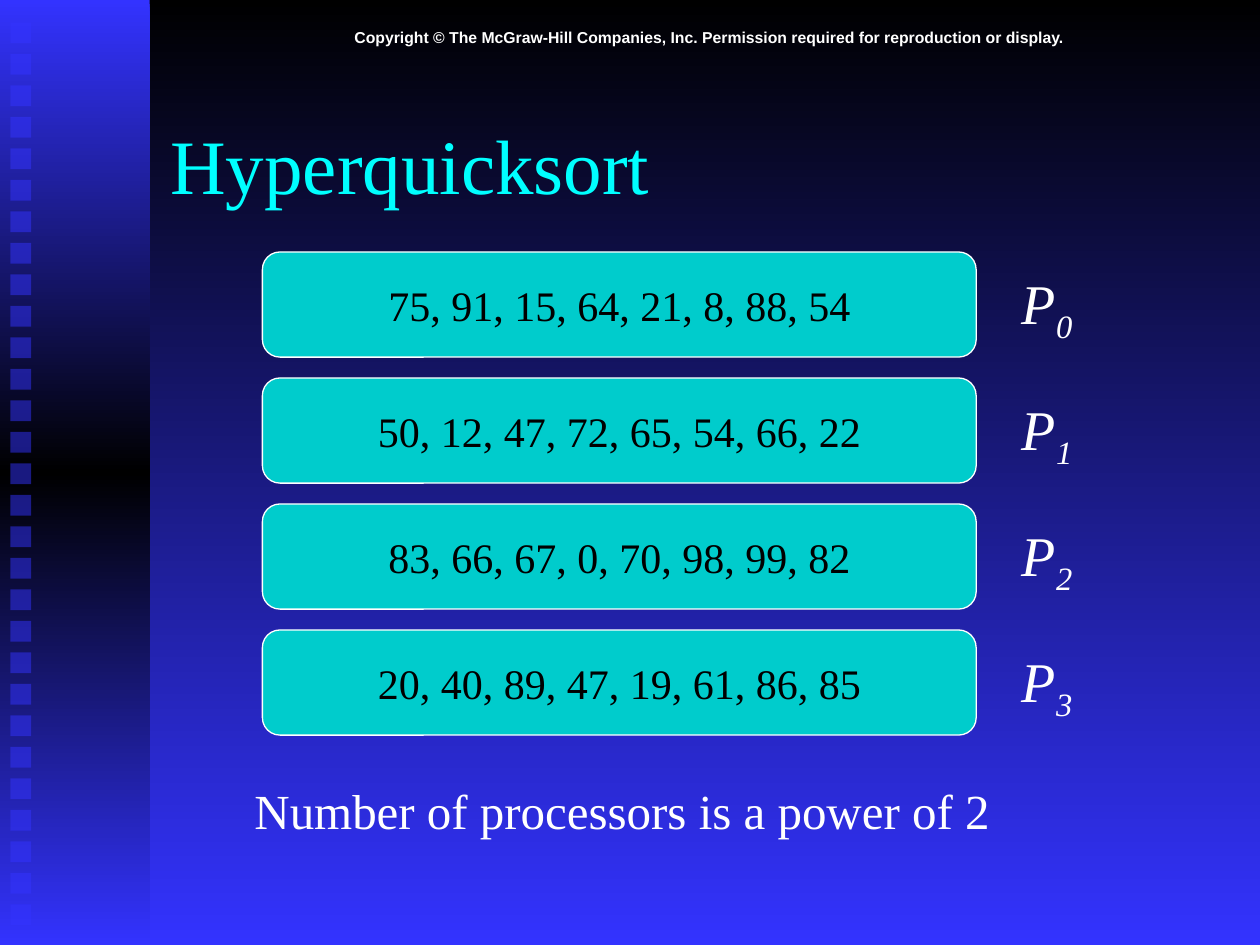
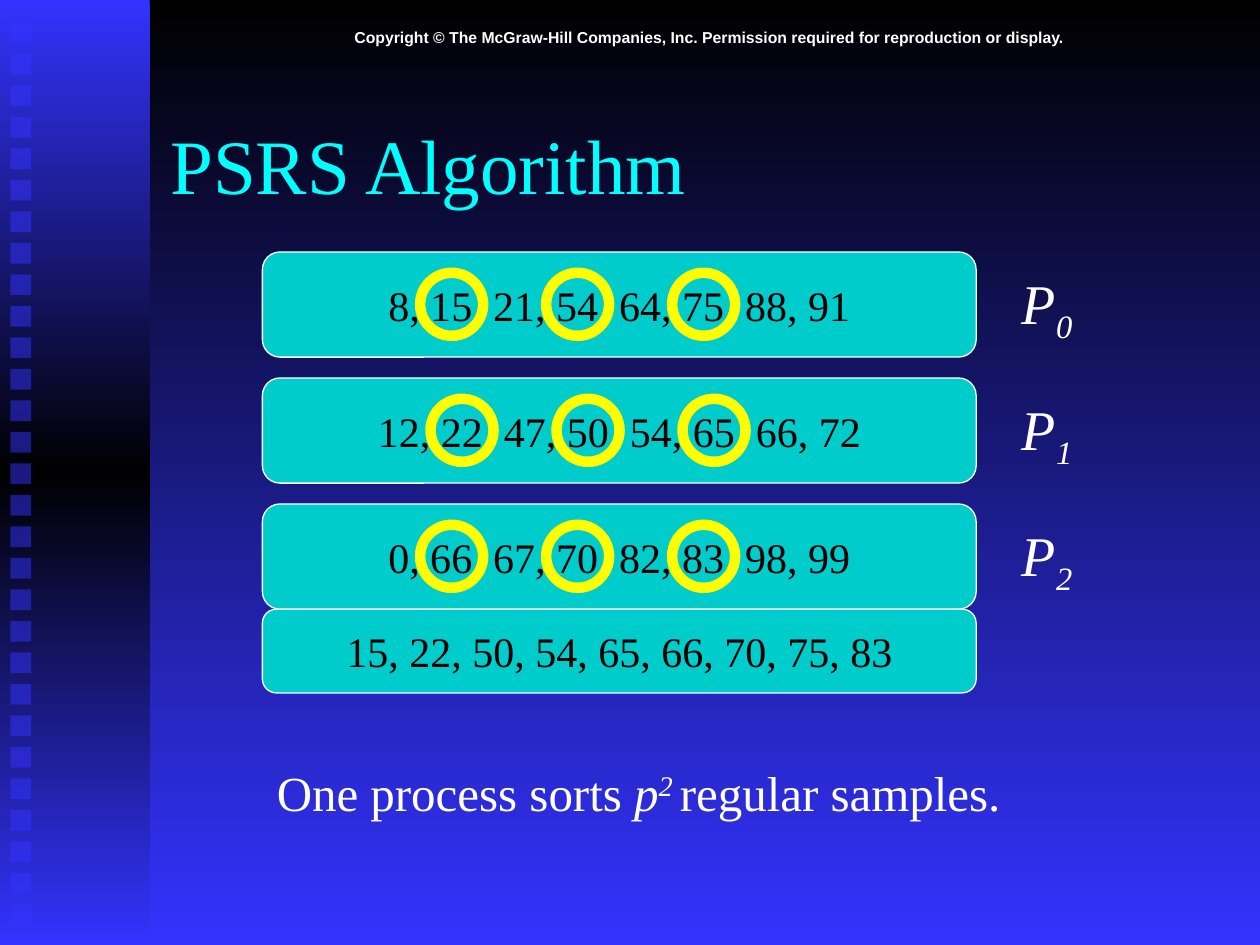
from copy import deepcopy
from dataclasses import dataclass

from pptx import Presentation
from pptx.dml.color import RGBColor
from pptx.enum.shapes import MSO_SHAPE
from pptx.enum.text import MSO_ANCHOR, MSO_AUTO_SIZE, PP_ALIGN
from pptx.oxml.ns import qn
from pptx.util import Cm, Pt
from lxml.etree import SubElement


@dataclass(frozen=True)
class Theme:
    black: RGBColor = RGBColor(0x00, 0x00, 0x00)
    white: RGBColor = RGBColor(0xFF, 0xFF, 0xFF)
    blue: RGBColor = RGBColor(0x33, 0x33, 0xFF)
    cyan: RGBColor = RGBColor(0x00, 0xFF, 0xFF)
    teal: RGBColor = RGBColor(0x00, 0xCC, 0xCC)
    yellow: RGBColor = RGBColor(0xFF, 0xFF, 0x00)
    serif: str = "Times New Roman"
    sans: str = "Arial"
    title_size: int = 44
    label_size: int = 32
    caption_size: int = 28
    list_size: int = 24
    copyright_size: int = 9


@dataclass(frozen=True)
class Box:
    left: float
    top: float
    width: float
    height: float

    def lengths(self):
        return Cm(self.left), Cm(self.top), Cm(self.width), Cm(self.height)


THEME = Theme()
TITLE_BOX = Box(3.18, 1.7, 21.59, 3.18)
COPYRIGHT_BOX = Box(3.18, 0.43, 22.22, 0.62)
BAND_BOX = Box(0, 0, 3.02, 19.05)
ROWS_BOX = Box(5.29, 5.08, 14.39, 2.12)
ROW_PITCH = 2.54
RING_PITCH = 2.54
RINGS_PER_ROW = 3
SQUARE_COUNT = 29
COPYRIGHT = ("Copyright © The McGraw-Hill Companies, Inc. "
             "Permission required for reproduction or display.")


def style_paragraph(paragraph, size, color, name=THEME.serif):
    paragraph.font.size = Pt(size)
    paragraph.font.color.rgb = color
    paragraph.font.name = name


def fill_vertical_gradient(fill, start, end):
    fill.gradient()
    fill.gradient_angle = 270
    for stop, color in zip(fill.gradient_stops, (start, end)):
        stop.color.rgb = color


def add_plain_shape(slide, kind, box):
    shape = slide.shapes.add_shape(kind, *box.lengths())
    shape.shadow.inherit = False
    return shape


def add_text(slide, box, runs, size, name=THEME.serif):
    text_box = slide.shapes.add_textbox(*box.lengths())
    frame = text_box.text_frame
    frame.word_wrap = False
    frame.auto_size = MSO_AUTO_SIZE.SHAPE_TO_FIT_TEXT
    paragraph = frame.paragraphs[0]
    for text, italic, baseline in runs:
        run = paragraph.add_run()
        run.text = text
        if italic:
            run.font.italic = True
        if baseline:
            run._r.get_or_add_rPr().set("baseline", str(baseline * 1000))
    style_paragraph(paragraph, size, THEME.white, name)
    return text_box


def add_side_band(slide, box):
    band = add_plain_shape(slide, MSO_SHAPE.RECTANGLE, box)
    fill_vertical_gradient(band.fill, THEME.blue, THEME.blue)
    band.line.fill.background()
    first_stop = next(band._element.iter(qn("a:gs")))
    middle_stop = deepcopy(first_stop)
    middle_stop.set("pos", "50000")
    first_stop.addnext(middle_stop)
    band.fill.gradient_stops[1].color.rgb = THEME.black

    pitch = 17.78 / (SQUARE_COUNT - 1)
    for index in range(SQUARE_COUNT):
        square_box = Box(box.left + 0.21, box.top + 0.45 + index * pitch, 0.42, 0.42)
        square = add_plain_shape(slide, MSO_SHAPE.RECTANGLE, square_box)
        square.fill.solid()
        square.fill.fore_color.rgb = THEME.blue
        color = next(square._element.spPr.iter(qn("a:srgbClr")))
        SubElement(color, qn("a:alpha")).set("val", "50000")
        square.line.fill.background()


def add_copyright(slide, box):
    text_box = add_text(slide, box, [(COPYRIGHT, False, 0)],
                        THEME.copyright_size, THEME.sans)
    text_box.text_frame.word_wrap = True
    paragraph = text_box.text_frame.paragraphs[0]
    paragraph.alignment = PP_ALIGN.CENTER
    paragraph.font.bold = True


def place_title(slide, box, text):
    title = slide.shapes.title
    title.left, title.top, title.width, title.height = box.lengths()
    title.text_frame.text = text
    title.text_frame.vertical_anchor = MSO_ANCHOR.MIDDLE
    paragraph = title.text_frame.paragraphs[0]
    paragraph.alignment = PP_ALIGN.LEFT
    style_paragraph(paragraph, THEME.title_size, THEME.cyan)


def add_number_list(slide, box, numbers):
    shape = add_plain_shape(slide, MSO_SHAPE.ROUNDED_RECTANGLE, box)
    shape.adjustments[0] = 0.167
    shape.fill.solid()
    shape.fill.fore_color.rgb = THEME.teal
    shape.line.color.rgb = THEME.white
    shape.line.width = Pt(0.75)
    frame = shape.text_frame
    frame.text = ", ".join(str(number) for number in numbers)
    frame.word_wrap = False
    frame.vertical_anchor = MSO_ANCHOR.MIDDLE
    paragraph = frame.paragraphs[0]
    paragraph.alignment = PP_ALIGN.CENTER
    style_paragraph(paragraph, THEME.list_size, THEME.black)


def add_processor_rows(slide, box, rows):
    row_boxes = [Box(box.left, box.top + index * ROW_PITCH, box.width, box.height)
                 for index in range(len(rows))]
    for row_box, numbers in zip(row_boxes, rows):
        add_number_list(slide, row_box, numbers)
    for index, row_box in enumerate(row_boxes):
        label_box = Box(row_box.left + row_box.width + 0.67, row_box.top + 0.21, 1.52, 1.8)
        add_text(slide, label_box, [("P", True, 0), (str(index), True, -25)],
                 THEME.label_size)
    return row_boxes


def add_sample_rings(slide, row_box, numbers):
    first_left = row_box.left + (3.18 if numbers[0] < 10 else 3.39)
    for index in range(RINGS_PER_ROW):
        ring_box = Box(first_left + index * RING_PITCH, row_box.top + 0.42, 1.27, 1.27)
        ring = add_plain_shape(slide, MSO_SHAPE.OVAL, ring_box)
        ring.fill.background()
        ring.line.color.rgb = THEME.yellow
        ring.line.width = Pt(6)


def add_base_slide(presentation, title):
    slide = presentation.slides.add_slide(presentation.slide_layouts[5])
    add_side_band(slide, BAND_BOX)
    add_copyright(slide, COPYRIGHT_BOX)
    place_title(slide, TITLE_BOX, title)
    return slide


def build_hyperquicksort(presentation):
    slide = add_base_slide(presentation, "Hyperquicksort")
    add_processor_rows(slide, ROWS_BOX, [
        (75, 91, 15, 64, 21, 8, 88, 54),
        (50, 12, 47, 72, 65, 54, 66, 22),
        (83, 66, 67, 0, 70, 98, 99, 82),
        (20, 40, 89, 47, 19, 61, 86, 85),
    ])
    add_text(slide, Box(4.88, 15.6, 15.32, 1.45),
             [("Number of processors is a power of 2", False, 0)], THEME.caption_size)


def build_psrs(presentation):
    slide = add_base_slide(presentation, "PSRS Algorithm")
    add_text(slide, Box(5.33, 15.24, 15.19, 1.45), [
        ("One process sorts ", False, 0),
        ("p", True, 0),
        ("2 ", True, 30),
        ("regular samples.", False, 0),
    ], THEME.caption_size)
    rows = [
        (8, 15, 21, 54, 64, 75, 88, 91),
        (12, 22, 47, 50, 54, 65, 66, 72),
        (0, 66, 67, 70, 82, 83, 98, 99),
    ]
    samples_top = ROWS_BOX.top + (len(rows) - 1) * ROW_PITCH + ROWS_BOX.height
    add_number_list(slide, Box(ROWS_BOX.left, samples_top, ROWS_BOX.width, 1.69),
                    (15, 22, 50, 54, 65, 66, 70, 75, 83))
    row_boxes = add_processor_rows(slide, ROWS_BOX, rows)
    for row_box, numbers in zip(row_boxes, rows):
        add_sample_rings(slide, row_box, numbers)


def main():
    presentation = Presentation()
    presentation.slide_width = Cm(25.4)
    presentation.slide_height = Cm(19.05)
    fill_vertical_gradient(presentation.slide_master.background.fill,
                           THEME.black, THEME.blue)
    build_hyperquicksort(presentation)
    build_psrs(presentation)
    presentation.save("out.pptx")


if __name__ == "__main__":
    main()
